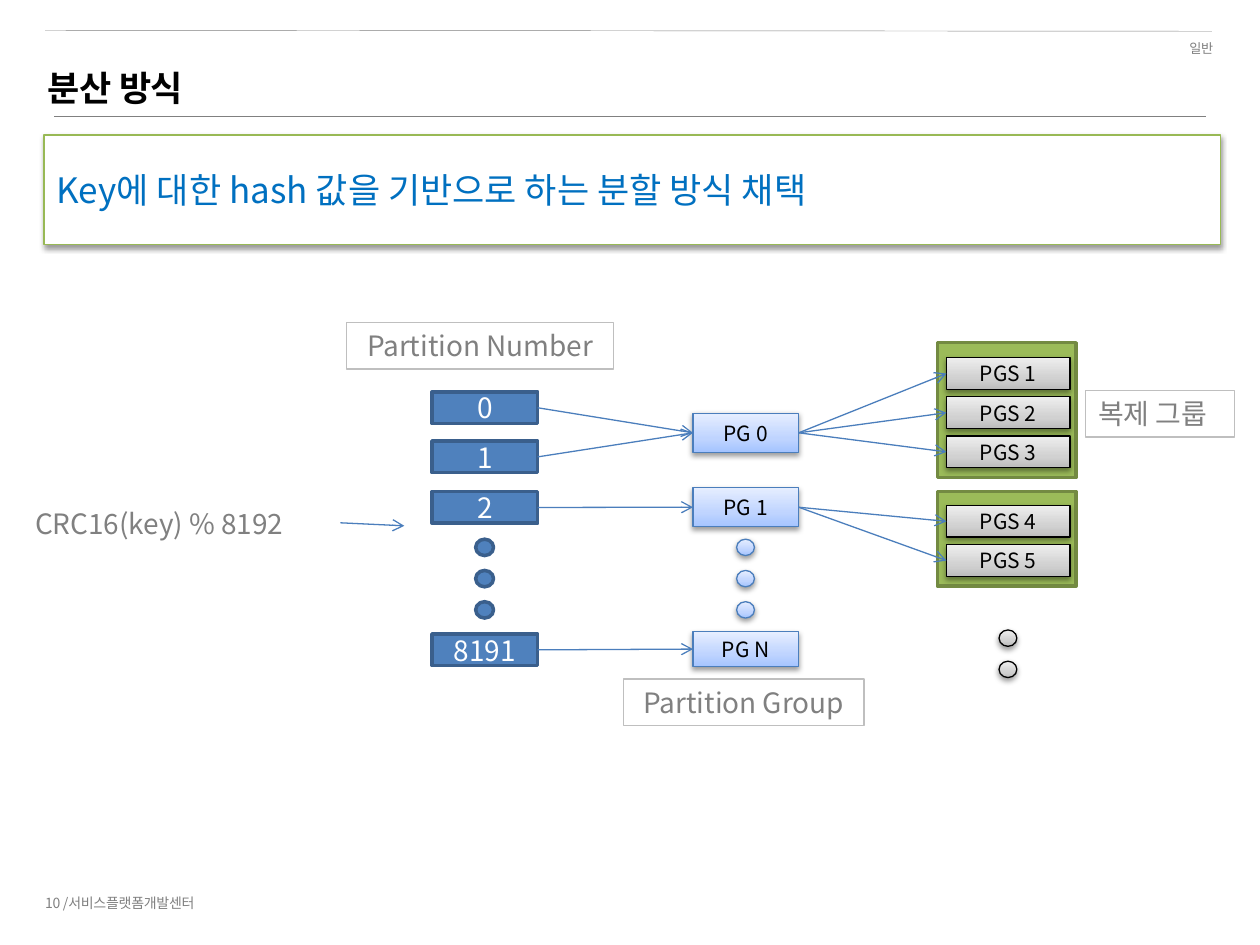
"""Build the slide that explains hash-based partitioning of keys."""
from dataclasses import dataclass
from typing import NamedTuple, Optional

from lxml import etree
from pptx import Presentation, util as u
from pptx.dml import color
from pptx.enum import shapes, text
from pptx.oxml import ns


@dataclass(frozen=True)
class Theme:
    font: str = "Noto Sans CJK KR"
    black: str = "000000"
    white: str = "FFFFFF"
    grey: str = "808080"
    frame: str = "BFBFBF"
    link: str = "4B7EBC"
    message: str = "0070C0"
    message_edge: str = "98B955"
    tiny: float = 7.5
    small: float = 8
    node: float = 12
    body: float = 16
    title: float = 20


class Style(NamedTuple):
    fill: tuple[str, ...]
    edge: str
    weight: float
    shadow: bool = False
    ink: str = "000000"
    size: float = 12


class Box(NamedTuple):
    left: float
    top: float
    width: float
    height: float


class Caption(NamedTuple):
    words: str
    box: Box
    size: float
    ink: str = "808080"
    align: text.PP_ALIGN = text.PP_ALIGN.LEFT
    anchor: text.MSO_ANCHOR = text.MSO_ANCHOR.TOP
    edge: Optional[str] = None
    bold: bool = False
    spacing: Optional[str] = None
    leading: Optional[float] = None


class Rule(NamedTuple):
    left: float
    top: float
    right: float
    bottom: float
    ink: str
    weight: float
    arrow: bool = False


T = Theme()
PARTITION = Style(("4F81BD",), "3A5F8C", 2, ink=T.white, size=T.body)
GROUP = Style(("A4C4FF", "BFD4FF", "E6EEFF"), T.link, 0.75, True, T.black, T.node)
SERVER = Style(("BDBDBD", "D1D1D1", "EEEEEE"), T.black, 0.75, True, T.black, T.node)
REPLICA = Style(("9BBB59",), "738A42", 2)
MESSAGE = Style((T.white,), T.message_edge, 0.75, True, T.message, T.title)
GRADIENT_STOPS = (0, 35000, 100000)
CENTER, LEFT, RIGHT = text.PP_ALIGN.CENTER, text.PP_ALIGN.LEFT, text.PP_ALIGN.RIGHT
MIDDLE = text.MSO_ANCHOR.MIDDLE
DOT_WIDTH, DOT_HEIGHT, DOT_PITCH = 0.36, 0.33, 0.63

deck = Presentation()
deck.slide_width, deck.slide_height = u.Cm(25.4), u.Cm(19.05)
slide = deck.slides.add_slide(deck.slide_layouts[6])


def rgb(value: str) -> color.RGBColor:
    return color.RGBColor.from_string(value)


def child(parent, tag: str, **attributes: str):
    return etree.SubElement(parent, ns.qn(tag), attributes)


def lengths(values) -> list:
    return [u.Cm(value) for value in values]


def write(frame, words: str, size: float, ink: str, align, anchor,
          bold: bool = False, spacing: Optional[str] = None):
    frame.word_wrap = True
    frame.vertical_anchor = anchor
    paragraph = frame.paragraphs[0]
    paragraph.alignment = align
    run = paragraph.add_run()
    run.text = words
    run.font.name, run.font.size, run.font.bold = T.font, u.Pt(size), bold
    run.font.color.rgb = rgb(ink)
    properties = run.font._element
    child(properties, "a:ea", typeface=T.font)
    if spacing:
        properties.set("spc", spacing)
    return paragraph


def draw(box: Box, style: Style, words: str = "", align=CENTER,
         kind=shapes.MSO_SHAPE.RECTANGLE):
    shape = slide.shapes.add_shape(kind, *lengths(box))
    shape.shadow.inherit = False
    shape.line.color.rgb, shape.line.width = rgb(style.edge), u.Pt(style.weight)
    properties = shape._element.spPr
    if len(style.fill) == 1:
        shape.fill.solid()
        shape.fill.fore_color.rgb = rgb(style.fill[0])
    else:
        shape.fill.gradient()
        shape.fill.gradient_angle = 90
        stops = properties.find(".//" + ns.qn("a:gsLst"))
        stops.clear()
        for position, tint in zip(GRADIENT_STOPS, style.fill):
            child(child(stops, "a:gs", pos=str(position)), "a:srgbClr", val=tint)
    if style.shadow:
        cast = child(properties.find(ns.qn("a:effectLst")), "a:outerShdw",
                     blurRad=str(u.Pt(3.1)), dist=str(u.Pt(1.6)),
                     dir="5400000", rotWithShape="0")
        child(child(cast, "a:srgbClr", val=T.black), "a:alpha", val="38000")
    if words:
        write(shape.text_frame, words, style.size, style.ink, align, MIDDLE)
    return shape


def draw_rule(rule: Rule):
    line = slide.shapes.add_connector(shapes.MSO_CONNECTOR.STRAIGHT, *lengths(rule[:4]))
    line.line.color.rgb, line.line.width = rgb(rule.ink), u.Pt(rule.weight)
    if rule.arrow:
        child(line.line._get_or_add_ln(), "a:tailEnd", type="arrow")
    child(line._element.spPr, "a:effectLst")
    return line


def link(source, target) -> None:
    arrow = draw_rule(Rule(0, 0, 1, 1, T.link, 0.75, True))
    arrow.begin_connect(source, 3)
    arrow.end_connect(target, 1)


def draw_dots(center: float, top: float, count: int, style: Style) -> None:
    for index in range(count):
        draw(Box(center - DOT_WIDTH / 2, top + index * DOT_PITCH, DOT_WIDTH, DOT_HEIGHT),
             style, kind=shapes.MSO_SHAPE.OVAL)


def draw_caption(caption: Caption) -> None:
    holder = slide.shapes.add_textbox(*lengths(caption.box))
    if caption.edge:
        holder.line.color.rgb, holder.line.width = rgb(caption.edge), u.Pt(0.75)
    paragraph = write(holder.text_frame, caption.words, caption.size, caption.ink,
                      caption.align, caption.anchor, caption.bold, caption.spacing)
    if caption.leading:
        paragraph.line_spacing = caption.leading


for rule in (Rule(0.91, 0.61, 24.43, 0.63, T.grey, 0.25),
             Rule(0.91, 2.72, 24.43, 2.72, T.grey, 0.25),
             Rule(1.09, 2.34, 24.31, 2.34, T.grey, 0.5),
             Rule(6.86, 10.54, 8.15, 10.6, T.link, 0.75, True)):
    draw_rule(rule)

for top, height in ((9.91, 1.91), (6.91, 2.72)):
    draw(Box(18.9, top, 2.79, height), REPLICA)

partitions = {name: draw(Box(8.71, top, 2.13, 0.64), PARTITION, name)
              for name, top in (("0", 7.9), ("1", 8.89), ("2", 9.91), ("8191", 12.78))}
groups = {name: draw(Box(13.97, top, 2.13, height), GROUP, f"PG {name}")
          for name, top, height in (("0", 8.33, 0.79), ("1", 9.83, 0.79), ("N", 12.73, 0.71))}

for partition, group in (("0", "0"), ("1", "0"), ("2", "1"), ("8191", "N")):
    link(partitions[partition], groups[group])

for group, first, count, top in (("0", 1, 3, 7.21), ("1", 4, 2, 10.19)):
    for index in range(count):
        server = draw(Box(19.08, top + index * 0.79, 2.49, 0.64), SERVER,
                      f"PGS {first + index}")
        link(groups[group], server)

for center, top, count, style in ((9.77, 10.87, 3, PARTITION), (15.03, 10.87, 3, GROUP),
                                  (20.32, 12.7, 2, SERVER)):
    draw_dots(center, top, count, style)

for caption in (
    Caption("일반", Box(22.12, 0.56, 2.59, 0.69), T.tiny, align=RIGHT,
            spacing="-20", leading=1.4),
    Caption("10 /서비스플랫폼개발센터", Box(0.66, 17.86, 7.72, 0.69), T.small,
            anchor=MIDDLE, spacing="-20"),
    Caption("분산 방식", Box(0.71, 1.22, 24, 1.12), T.title, T.black,
            bold=True, spacing="-20"),
    Caption("CRC16(key) % 8192", Box(0.46, 10.08, 6.4, 0.94), T.body),
    Caption("복제 그룹", Box(21.89, 7.87, 3, 0.94), T.body, edge=T.frame),
    Caption("Partition Group", Box(12.57, 13.69, 4.85, 0.94), T.body,
            align=CENTER, edge=T.frame),
    Caption("Partition Number", Box(6.99, 6.5, 5.38, 0.94), T.body,
            align=CENTER, edge=T.frame),
):
    draw_caption(caption)

draw(Box(0.89, 2.72, 23.72, 2.21), MESSAGE,
     "Key에 대한 hash 값을 기반으로 하는 분할 방식 채택", LEFT)

deck.save("out.pptx")
